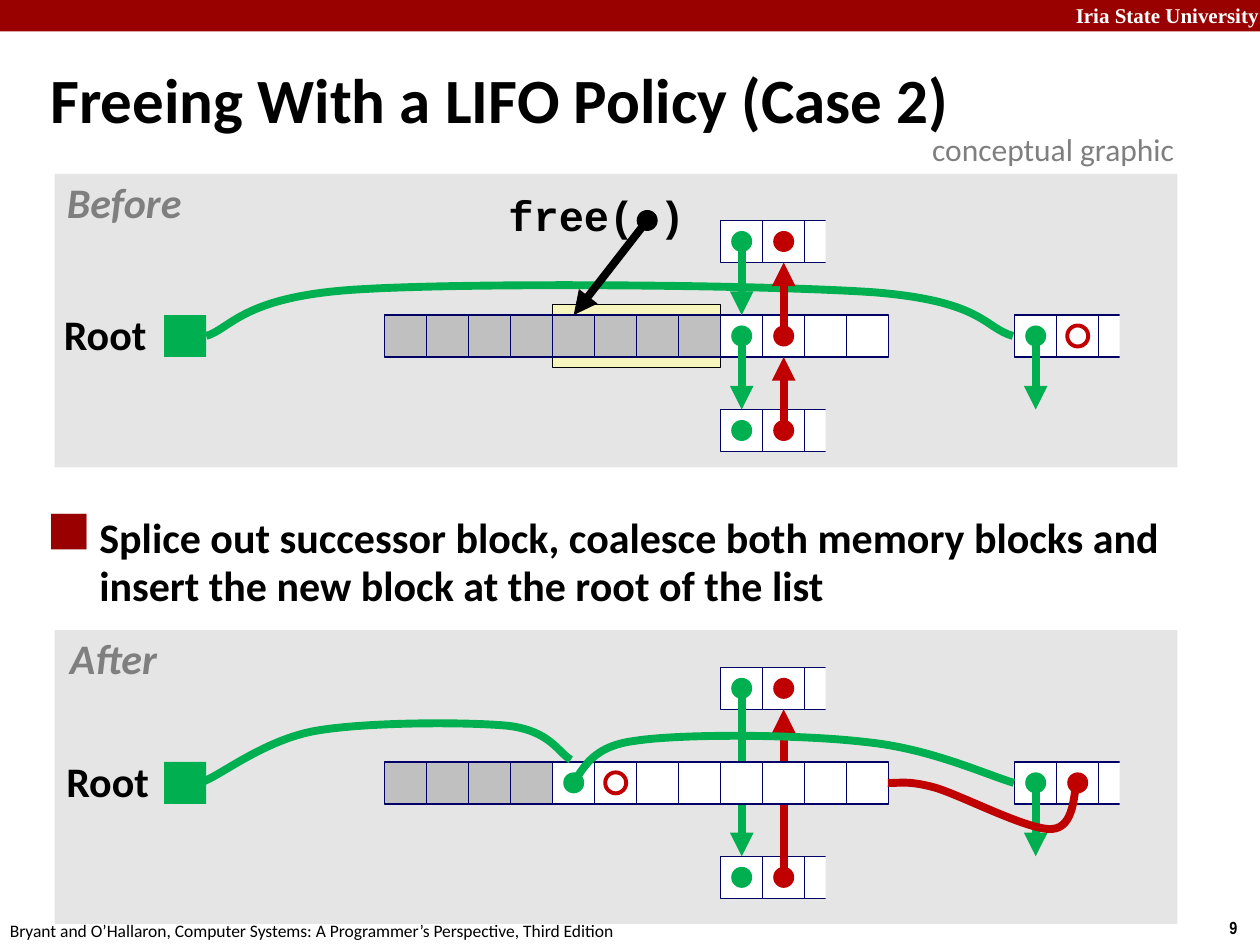
from dataclasses import dataclass

from lxml import etree
from pptx import Presentation
from pptx import util as u
from pptx.dml.color import RGBColor
from pptx.enum import shapes, text
from pptx.oxml.ns import qn


@dataclass(frozen=True)
class Theme:
    banner: str = "990000"
    panel: str = "E5E5E5"
    highlight: str = "F6F5BD"
    used: str = "C0C0C0"
    free: str = "FFFFFF"
    border: str = "000066"
    next: str = "00B050"
    previous: str = "C00000"
    ink: str = "000000"
    muted: str = "7F7F7F"
    font: str = "Calibri"
    code_font: str = "Courier New"
    title_size: int = 36
    text_size: int = 24
    note_size: int = 18
    banner_size: int = 12
    footer_size: int = 10
    thin: float = 0.75
    ring: float = 2.25
    thick: float = 4.5


THEME = Theme()
WIDTH, HEIGHT = u.Inches(10), u.Inches(7.5)
CELL = u.Inches(1) / 3
LEFT = 9.16
PITCH = 2.25

ROOT_TO_LIST = [(-4.25, 0.5), (-3.67, 0.33), (-3.4, -0.42), (-0.76, -0.6), (1.9, -0.78),
                (9.01, -0.72), (11.65, -0.54), (14.26, -0.33), (14.26, 0.3), (14.96, 0.5)]
ROOT_TO_BLOCK = [(-4.3, 0.46), (-3.85, 0.28), (-2.83, -0.53), (-1.63, -0.74), (-0.4, -0.95),
                 (1.93, -0.95), (2.92, -0.86), (3.94, -0.74), (4.12, -0.23), (4.43, -0.05)]
BLOCK_TO_LIST = [(4.45, 0.5), (4.7, 0.34), (4.78, -0.35), (5.95, -0.5), (7.12, -0.68),
                 (9.98, -0.65), (11.47, -0.47), (12.97, -0.32), (14.26, 0.28), (14.98, 0.5)]
LIST_TO_BLOCK = [(16.48, 0.5), (16.4, 0.67), (16.45, 1.57), (15.88, 1.6), (15.31, 1.63),
                 (13.72, 0.79), (13.09, 0.61), (12.43, 0.43), (12.22, 0.52), (11.98, 0.5)]


def share(left, top, width, height):
    return [int(part * size / 100) for part, size in
            zip((left, top, width, height), (WIDTH, HEIGHT, WIDTH, HEIGHT))]


def style(shape, fill=None, line=None, weight=THEME.thin):
    shape.shadow.inherit = False
    if fill:
        shape.fill.solid()
        shape.fill.fore_color.rgb = RGBColor.from_string(fill)
    else:
        shape.fill.background()
    if line:
        shape.line.color.rgb = RGBColor.from_string(line)
        shape.line.width = u.Pt(weight)
    else:
        shape.line.fill.background()


def add_panel(slide, box, fill):
    style(slide.shapes.add_shape(shapes.MSO_SHAPE.RECTANGLE, *share(*box)), fill)


def write(shape, words, size, color=THEME.ink, font=THEME.font, bold=True, italic=False,
          spacing=None, align=text.PP_ALIGN.LEFT, wrap=False, inset=0.1):
    frame = shape.text_frame
    frame.text = words
    frame.word_wrap = wrap
    frame.auto_size = text.MSO_AUTO_SIZE.NONE
    frame.margin_left = frame.margin_right = u.Inches(inset)
    frame.margin_top = frame.margin_bottom = u.Inches(0.05)
    paragraph = frame.paragraphs[0]
    paragraph.alignment = align
    if spacing:
        paragraph.line_spacing = spacing
    run_font = paragraph.runs[0].font
    run_font.name, run_font.size = font, u.Pt(size)
    run_font.bold, run_font.italic = bold, italic
    run_font.color.rgb = RGBColor.from_string(color)
    return paragraph


def add_text(slide, box, words, size, **options):
    return write(slide.shapes.add_textbox(*share(*box)), words, size, **options)


def add_label(slide, box, words, **options):
    add_text(slide, box, words, THEME.text_size, spacing=0.9,
             align=text.PP_ALIGN.CENTER, inset=0.05, **options)


def hang(paragraph, indent):
    properties = paragraph._p.get_or_add_pPr()
    properties.set("marL", str(u.Inches(indent)))
    properties.set("indent", str(-u.Inches(indent)))
    return properties


def add_bullet(paragraph, character, font, color):
    properties = hang(paragraph, 0.37)
    bullet_color = etree.SubElement(properties, qn("a:buClr"))
    etree.SubElement(bullet_color, qn("a:srgbClr")).set("val", color)
    bullet_font = etree.SubElement(properties, qn("a:buFont"))
    bullet_font.set("typeface", font)
    bullet_font.set("charset", "2")
    etree.SubElement(properties, qn("a:buChar")).set("char", character)


def bend(shape):
    segments = list(shape._element.iter(qn("a:lnTo")))
    for first in range(0, len(segments), 3):
        bezier = etree.Element(qn("a:cubicBezTo"))
        segments[first].addprevious(bezier)
        for segment in segments[first:first + 3]:
            bezier.append(segment[0])
            segment.getparent().remove(segment)


class Heap:
    def __init__(self, slide, top):
        self.slide = slide
        self.top = top

    def point(self, column, row):
        return round((LEFT + column) * CELL), round((self.top + row) * CELL)

    def add(self, kind, column, row, width, height, *look):
        shape = self.slide.shapes.add_shape(
            kind, *self.point(column, row), round(width * CELL), round(height * CELL))
        style(shape, *look)
        return shape

    def rectangle(self, column, row, width, height, *look):
        return self.add(shapes.MSO_SHAPE.RECTANGLE, column, row, width, height, *look)

    def cells(self, column, count, fill=THEME.free, row=0):
        return [self.rectangle(column + step, row, 1, 1, fill, THEME.border)
                for step in range(count)]

    def cut_block(self, column, row=0):
        cells = self.cells(column, 3, row=row)
        self.rectangle(column + 2.5, row - 0.25, 1, 1.5, THEME.panel)
        return cells

    def dot(self, column, row, *look):
        self.add(shapes.MSO_SHAPE.OVAL, column + 0.25, row + 0.25, 0.5, 0.5, *look)

    def ring(self, column):
        self.dot(column, 0, None, THEME.previous, THEME.ring)

    def arrow(self, start, end, color, target=None, side=0):
        connector = self.slide.shapes.add_connector(
            shapes.MSO_CONNECTOR.STRAIGHT, *self.point(*start), *self.point(*end))
        if target is not None:
            connector.end_connect(target, side)
        connector.line.color.rgb = RGBColor.from_string(color)
        connector.line.width = u.Pt(THEME.thick)
        etree.SubElement(connector.line._get_or_add_ln(), qn("a:tailEnd")).set("type", "triangle")
        etree.SubElement(connector._element.spPr, qn("a:effectLst"))

    def curve(self, controls, color):
        points = [self.point(*control) for control in controls]
        builder = self.slide.shapes.build_freeform(*points[0])
        builder.add_line_segments(points[1:], close=False)
        shape = builder.convert_to_shape()
        bend(shape)
        style(shape, None, color, THEME.thick)

    def neighbours(self):
        for row in (-PITCH, PITCH):
            self.dot(8, row, THEME.next)
            self.dot(9, row, THEME.previous)

    def list_head(self):
        self.rectangle(-5.25, 0, 1, 1, THEME.next)
        self.cut_block(15)
        self.dot(15, 0, THEME.next)
        self.arrow((15.5, 0.5), (15.5, PITCH), THEME.next)


def draw_before(slide):
    add_panel(slide, (4.34, 18.4, 89.1, 31.07), THEME.panel)
    heap = Heap(slide, 7.5)
    heap.rectangle(4, -0.25, 4, 1.5, THEME.highlight, THEME.ink)
    heap.curve(ROOT_TO_LIST, THEME.next)
    used = heap.cells(0, 8, THEME.used)
    middle = heap.cells(8, 4)
    upper, lower = heap.cut_block(8, -PITCH), heap.cut_block(8, PITCH)
    heap.neighbours()
    heap.dot(8, 0, THEME.next)
    heap.dot(9, 0, THEME.previous)
    for row, below, above in ((-PITCH, middle, upper), (0, lower, middle)):
        heap.arrow((8.5, row + 0.5), (8.5, row + PITCH), THEME.next, below[0], 0)
        heap.arrow((9.5, row + PITCH + 0.5), (9.5, row + 1), THEME.previous, above[1], 2)
    heap.list_head()
    heap.ring(16)
    add_label(slide, (39.8, 20, 15.1, 6.27), "free( )", font=THEME.code_font)
    heap.dot(5.75, -2.75, THEME.ink)
    heap.arrow((6.25, -PITCH), (4.5, 0), THEME.ink, used[4], 0)
    add_label(slide, (4.55, 32.6, 7.6, 6.27), "Root")
    add_label(slide, (4.7, 18.67, 10.3, 6.27), "Before", color=THEME.muted, italic=True)


def draw_after(slide):
    add_panel(slide, (4.34, 66.69, 89.1, 31.07), THEME.panel)
    heap = Heap(slide, 18.14)
    upper, lower = heap.cut_block(8, -PITCH), heap.cut_block(8, PITCH)
    heap.arrow((9.5, PITCH + 0.5), (9.5, 1 - PITCH), THEME.previous, upper[1], 2)
    heap.arrow((8.5, 0.5 - PITCH), (8.5, PITCH), THEME.next, lower[0], 0)
    heap.cells(0, 4, THEME.used)
    heap.cells(4, 8)
    heap.neighbours()
    heap.list_head()
    heap.dot(16, 0, THEME.previous)
    heap.dot(4, 0, THEME.next)
    heap.ring(5)
    heap.curve(BLOCK_TO_LIST, THEME.next)
    heap.curve(LIST_TO_BLOCK, THEME.previous)
    heap.curve(ROOT_TO_BLOCK, THEME.next)
    add_label(slide, (4.75, 79.87, 7.6, 6.27), "Root")
    add_label(slide, (4.95, 66.87, 8.1, 6.27), "After", color=THEME.muted, italic=True)


def draw_page(slide):
    add_panel(slide, (0, 0, 100, 3.33), THEME.banner)
    add_text(slide, (84.4, -0.4, 16.3, 4), "Iria State University", THEME.banner_size,
             color=THEME.free, font="Times New Roman")
    add_text(slide, (96.6, 96.4, 3.4, 3.6), "9", THEME.footer_size, font="Arial Narrow")
    add_text(slide, (-0.2, 96.67, 50.8, 3.6),
             "Bryant and O’Hallaron, Computer Systems: A Programmer’s Perspective, Third Edition",
             THEME.footer_size, bold=False)
    title = slide.shapes.title
    title.left, title.top, title.width, title.height = share(3, 5.2, 95.3, 11.47)
    hang(write(title, "Freeing With a LIFO Policy (Case 2)", THEME.title_size,
               spacing=0.87, wrap=True), 0.13)
    title.text_frame.vertical_anchor = text.MSO_ANCHOR.MIDDLE
    message = add_text(slide, (3.2, 53.87, 90.9, 11.47),
                       "Splice out successor block, coalesce both memory blocks and "
                       "insert the new block at the root of the list",
                       THEME.text_size, spacing=0.95, wrap=True)
    add_bullet(message, "¢", "Wingdings 2", THEME.banner)
    add_text(slide, (73, 13.07, 21.7, 5.33), "conceptual graphic", THEME.note_size,
             color=THEME.muted, bold=False)


def main():
    presentation = Presentation()
    presentation.slide_width, presentation.slide_height = WIDTH, HEIGHT
    slide = presentation.slides.add_slide(presentation.slide_layouts[5])
    draw_before(slide)
    draw_after(slide)
    draw_page(slide)
    presentation.save("out.pptx")


if __name__ == "__main__":
    main()
